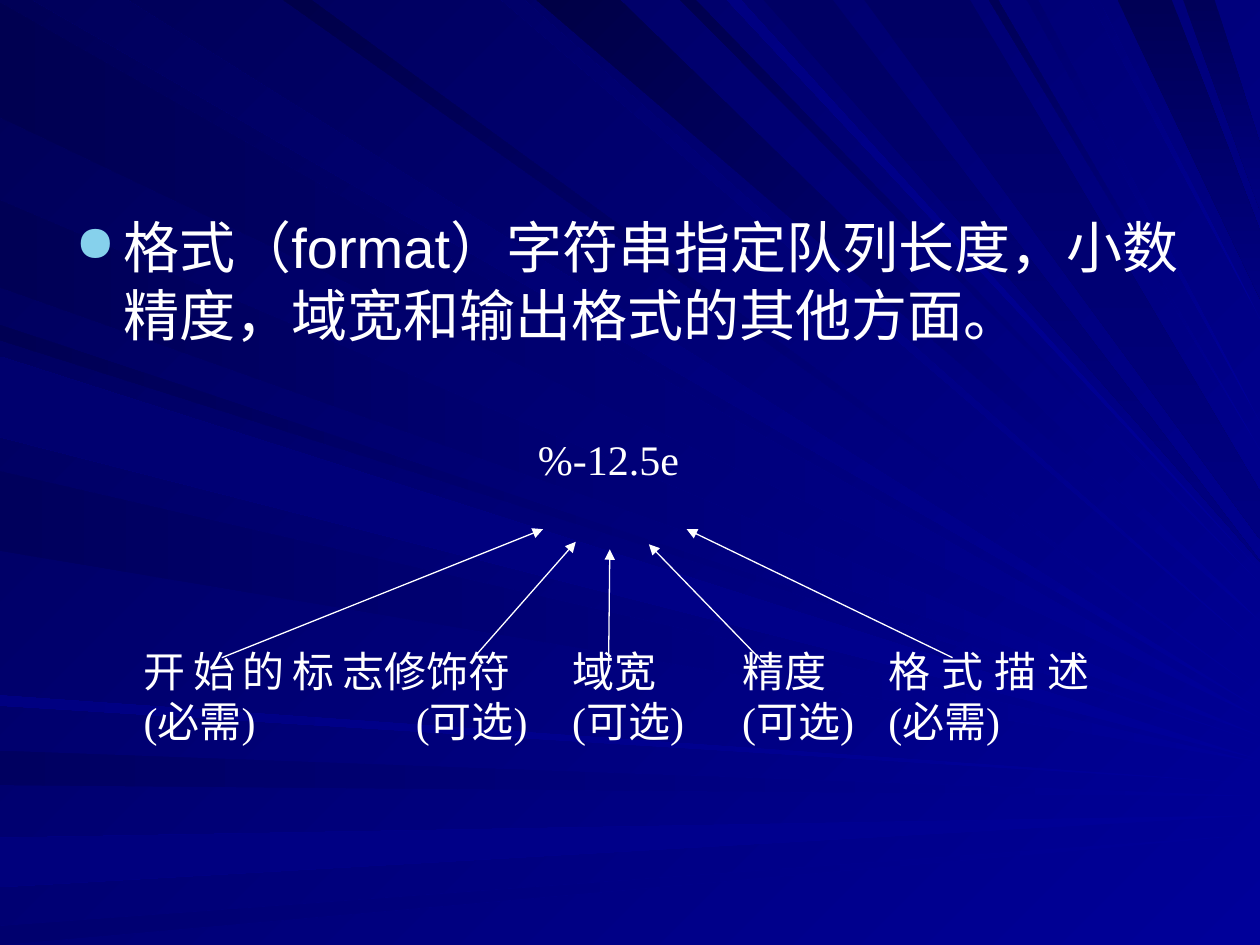
from lxml import etree
from pptx import Presentation
from pptx.dml.color import RGBColor
from pptx.enum import shapes, text
from pptx.oxml.ns import qn
from pptx.util import Inches, Pt

WIDTH, HEIGHT = 10, 7.5
WHITE = RGBColor(0xFF, 0xFF, 0xFF)
BULLET = RGBColor(0x86, 0xD1, 0xEC)
BLUE, MIDDLE, NAVY = (RGBColor.from_string("0000" + tone) for tone in ("99", "80", "57"))

# Rays run from a span on the left or top edge to a point on the right edge:
# span start, span end, height on the right, darkest blue
LEFT_RAYS = [
    (0.02, 0.93, 5.7, "51"), (5.96, 6.23, 6.32, "60"), (6.65, 7.04, 6.47, "7C"),
    (7.35, 7.5, 6.62, "6E"), (2.58, 2.7, 5.89, "53"), (1.59, 2.28, 5.84, "55"),
    (3.74, 4.37, 6.05, "5C"), (5.52, 5.6, 6.22, "81"), (2.83, 3.47, 6.03, "6E"),
]
TOP_RAYS = [
    (0.26, 1.01, 5.63, "5C"), (2.25, 2.47, 5.5, "4A"), (3.98, 4.16, 5.18, "6A"),
    (4.26, 4.92, 4.93, "46"), (5.4, 5.52, 4.63, "4E"), (5.77, 5.88, 4.53, "81"),
    (7.85, 7.92, 3.57, "57"), (8.15, 8.24, 3.35, "6E"), (8.65, 8.72, 2.53, "78"),
]
# Broad rays also spread out on the right edge: span, right span, darkest blue
BROAD_RAYS = [
    (6.06, 6.61, 4.45, 4.46, "64"), (6.86, 7.7, 3.9, 4.28, "64"),
    (8.87, 9.3, 1.83, 2.37, "55"), (9.39, 9.64, 1.14, 1.67, "59"),
]

BODY = "格式（format）字符串指定队列长度，小数精度，域宽和输出格式的其他方面。"
SAMPLE = "%-12.5e"
LABEL_TOP, LABEL_HEIGHT = 5.12, 0.68
# Labels: left, width, paragraphs, indent of the last paragraph
LABELS = [
    (1.14, 1.91, ["开始的标志 (必需)"], 0),
    (3.05, 1.46, ["修饰符", "(可选)"], 0.25),
    (4.54, 1.21, ["域宽", "(可选)"], 0),
    (5.89, 1.2, ["精度", "(可选)"], 0),
    (7.05, 1.6, ["格式描述(必需)"], 0),
]
# Arrows from label to format string: start, end
ARROWS = [
    ((1.76, 5.22), (4.31, 4.2)),
    ((3.76, 5.22), (4.57, 4.3)),
    ((4.83, 5.29), (4.84, 4.36)),
    ((6.09, 5.29), (5.15, 4.32)),
    ((7.56, 5.22), (5.45, 4.2)),
]


def paint_gradient(fill, first, last, clockwise):
    fill.gradient()
    fill.gradient_angle = 360 - clockwise
    for stop, color, position in zip(fill.gradient_stops, (first, last), (0, 1)):
        stop.color.rgb = color
        stop.position = position


def add_ray(slide, corners, first, last, clockwise):
    points = [(Inches(x), Inches(y)) for x, y in corners]
    builder = slide.shapes.build_freeform(*points[0])
    builder.add_line_segments(points[1:], close=True)
    ray = builder.convert_to_shape()
    ray.shadow.inherit = False
    ray.line.fill.background()
    paint_gradient(ray.fill, first, last, clockwise)


def add_rays(slide):
    for start, end, tip, tone in LEFT_RAYS:
        corners = [(0, start), (0, end), (WIDTH, tip)]
        add_ray(slide, corners, BLUE, RGBColor.from_string("0000" + tone), 180)
    for start, end, tip, tone in TOP_RAYS:
        corners = [(start, 0), (end, 0), (WIDTH, tip)]
        add_ray(slide, corners, BLUE, RGBColor.from_string("0000" + tone), 225)
    for start, end, upper, lower, tone in BROAD_RAYS:
        corners = [(start, 0), (end, 0), (WIDTH, upper), (WIDTH, lower)]
        add_ray(slide, corners, RGBColor.from_string("0000" + tone), MIDDLE, 90)


def add_text(slide, area, lines, font, size, align, margins=(0, 0)):
    box = slide.shapes.add_textbox(*map(Inches, area))
    frame = box.text_frame
    frame.word_wrap = True
    frame.margin_left = frame.margin_right = Inches(margins[0])
    frame.margin_top = frame.margin_bottom = Inches(margins[1])
    for index, line in enumerate(lines):
        para = frame.paragraphs[0] if index == 0 else frame.add_paragraph()
        para.alignment = align
        span = para.add_run()
        span.text = line
        span.font.name = font
        span.font.size = Pt(size)
        span.font.color.rgb = WHITE
    return frame.paragraphs


def add_bullet(para):
    props = para._p.get_or_add_pPr()
    props.set("marL", str(Inches(0.38)))
    props.set("indent", str(-Inches(0.38)))
    color = etree.SubElement(props, qn("a:buClr"))
    etree.SubElement(color, qn("a:srgbClr"), val=str(BULLET))
    etree.SubElement(props, qn("a:buSzPct"), val="90000")
    etree.SubElement(props, qn("a:buChar"), char="●")


def add_arrow(slide, start, end):
    arrow = slide.shapes.add_connector(
        shapes.MSO_CONNECTOR.STRAIGHT, *map(Inches, start + end))
    arrow.line.color.rgb = WHITE
    arrow.line.width = Pt(0.75)
    etree.SubElement(arrow.line._get_or_add_ln(), qn("a:tailEnd"), type="triangle")
    etree.SubElement(arrow._element.spPr, qn("a:effectLst"))


def main():
    deck = Presentation()
    deck.slide_width, deck.slide_height = Inches(WIDTH), Inches(HEIGHT)
    slide = deck.slides.add_slide(deck.slide_layouts[6])

    # Background
    paint_gradient(slide.background.fill, BLUE, NAVY, 225)
    add_rays(slide)

    # Body text
    align = text.PP_ALIGN
    body = add_text(slide, (0.5, 1.64, 9, 4.31), [BODY], "Arial", 32, align.LEFT, (0.1, 0.05))
    add_bullet(body[0])

    # Format string and its labelled parts
    add_text(slide, (3.43, 3.44, 2.8, 1.18), [SAMPLE], "Times New Roman", 24, align.CENTER)
    for left, width, lines, indent in LABELS:
        paras = add_text(slide, (left, LABEL_TOP, width, LABEL_HEIGHT), lines,
                         "Times New Roman", 24, align.JUSTIFY)
        if indent:
            paras[-1]._p.get_or_add_pPr().set("marL", str(Inches(indent)))
    for start, end in ARROWS:
        add_arrow(slide, start, end)

    deck.save("out.pptx")


if __name__ == "__main__":
    main()
